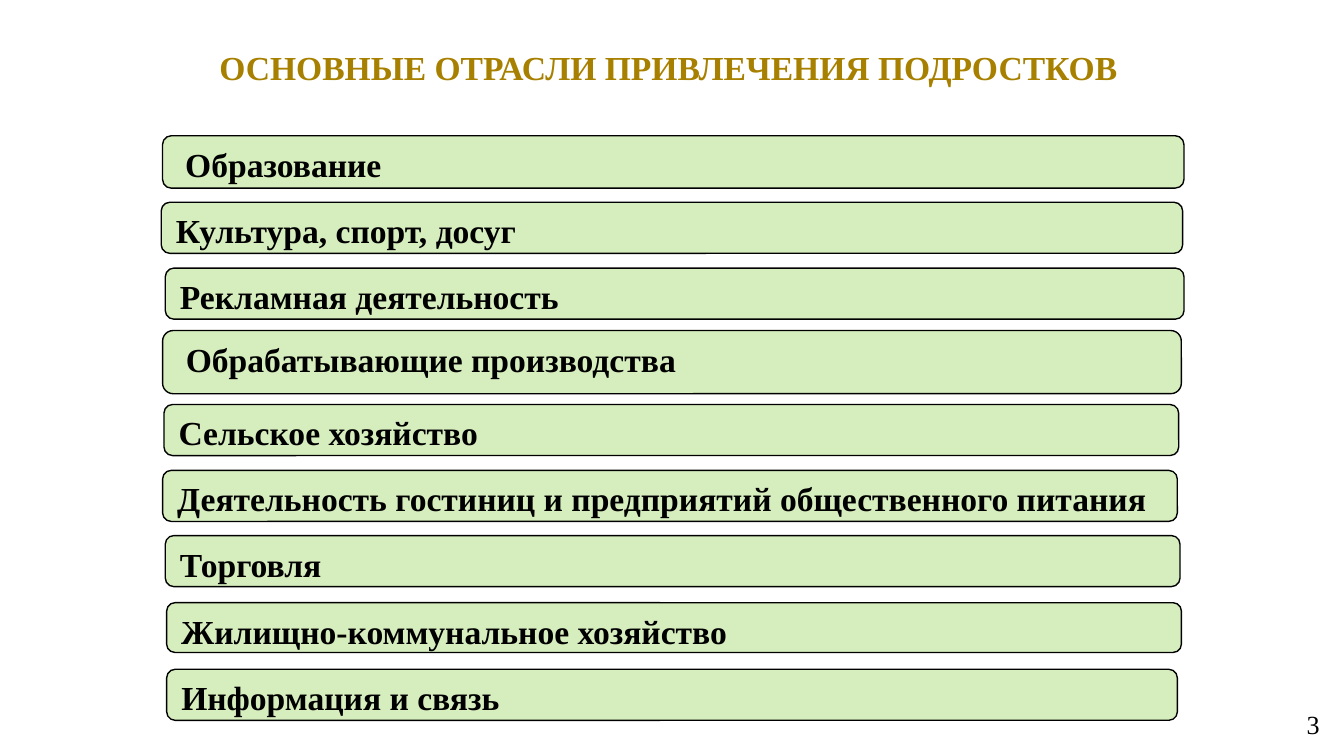
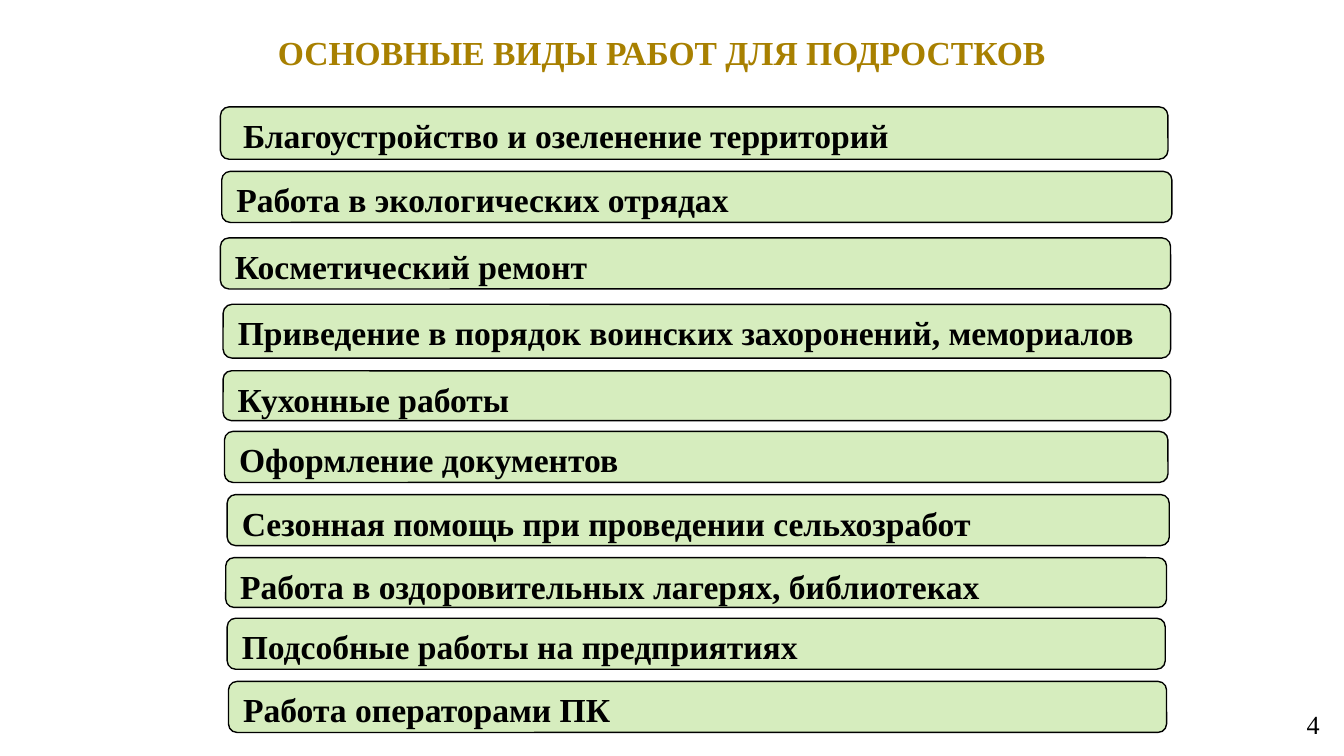
from dataclasses import dataclass

from lxml import etree
from pptx import Presentation
from pptx import util as u
from pptx.dml.color import RGBColor
from pptx.enum import shapes, text
from pptx.oxml import ns


@dataclass(frozen=True)
class Theme:
    face: str = "Times New Roman"
    gold: str = "A88000"
    black: str = "000000"
    green: str = "92D050"
    alpha: int = 37
    head: int = 18
    body: int = 18
    foot: int = 14
    edge: float = 0.75
    curve: float = 0.167


@dataclass(frozen=True)
class Box:
    col: float
    row: float
    cols: float
    rows: float


@dataclass(frozen=True)
class Bar:
    label: str
    box: Box
    inset: float = 0.9


@dataclass(frozen=True)
class Page:
    number: int
    title: str
    head: Box
    bars: tuple[Bar, ...]


THEME = Theme()
WIDTH = u.Inches(10)
HEIGHT = WIDTH * 9 // 16
CELL = WIDTH / 100
FOOT = Box(96.4, 52.3, 2.5, 3.1)
DEEP = 1.5

PAGES = (
    Page(3, "ОСНОВНЫЕ ОТРАСЛИ ПРИВЛЕЧЕНИЯ ПОДРОСТКОВ", Box(6.4, 0.3, 86.7, 9.4), (
        Bar("Образование", Box(12.1, 10.1, 76, 3.9), DEEP),
        Bar("Культура, спорт, досуг", Box(12, 15.05, 76, 3.8)),
        Bar("Рекламная деятельность", Box(12.3, 19.95, 75.8, 3.8)),
        Bar("Обрабатывающие производства", Box(12.1, 24.6, 75.8, 4.7), DEEP),
        Bar("Сельское хозяйство", Box(12.2, 30.1, 75.5, 3.8)),
        Bar("Деятельность гостиниц и предприятий общественного питания",
            Box(12.1, 35, 75.5, 3.8)),
        Bar("Торговля", Box(12.3, 39.85, 75.5, 3.8)),
        Bar("Жилищно-коммунальное хозяйство", Box(12.4, 44.85, 75.5, 3.7)),
        Bar("Информация и связь", Box(12.4, 49.8, 75.2, 3.8)),
    )),
    Page(4, "ОСНОВНЫЕ ВИДЫ РАБОТ ДЛЯ ПОДРОСТКОВ", Box(5.9, -0.8, 86.7, 9.4), (
        Bar("Благоустройство и озеленение территорий", Box(16.4, 7.95, 70.5, 3.9), DEEP),
        Bar("Работа в экологических отрядах", Box(16.5, 12.75, 70.7, 3.8)),
        Bar("Косметический ремонт", Box(16.4, 17.7, 70.7, 3.8)),
        Bar("Приведение в порядок воинских захоронений, мемориалов",
            Box(16.6, 22.65, 70.5, 4)),
        Bar("Кухонные работы", Box(16.6, 27.6, 70.5, 3.7)),
        Bar("Оформление документов", Box(16.7, 32.1, 70.2, 3.8)),
        Bar("Сезонная помощь при проведении сельхозработ", Box(16.9, 36.8, 70.1, 3.8)),
        Bar("Работа в оздоровительных лагерях, библиотеках", Box(16.8, 41.5, 70, 3.7)),
        Bar("Подсобные работы на предприятиях", Box(16.9, 46, 69.8, 3.8)),
        Bar("Работа операторами ПК", Box(17, 50.7, 69.8, 3.8)),
    )),
)


def span(cells: float) -> int:
    return round(cells * CELL)


def place(box: Box) -> tuple[int, int, int, int]:
    return span(box.col), span(box.row), span(box.cols), span(box.rows)


def write(shape, words: str, size: int, color: str, align, anchor,
          inset: float = 0.7, side: float = 0.7, bold: bool = True,
          wrap: bool = True) -> None:
    frame = shape.text_frame
    frame.word_wrap = wrap
    frame.vertical_anchor = anchor
    frame.margin_left, frame.margin_right = span(inset), span(side)
    frame.margin_top = frame.margin_bottom = span(0.4)
    para = frame.paragraphs[0]
    para.text = words
    para.alignment = align
    font = para.font
    font.name, font.size, font.bold = THEME.face, u.Pt(size), bold
    font.color.rgb = RGBColor.from_string(color)


def draw_bar(slide, bar: Bar) -> None:
    shape = slide.shapes.add_shape(shapes.MSO_SHAPE.ROUNDED_RECTANGLE, *place(bar.box))
    shape.adjustments[0] = THEME.curve
    shape.shadow.inherit = False
    shape.fill.solid()
    shape.fill.fore_color.rgb = RGBColor.from_string(THEME.green)
    tint = shape.fill._xPr.find(".//" + ns.qn("a:srgbClr"))
    etree.SubElement(tint, ns.qn("a:alpha"), val=str(THEME.alpha * 1000))
    shape.line.color.rgb = RGBColor.from_string(THEME.black)
    shape.line.width = u.Pt(THEME.edge)
    write(shape, bar.label, THEME.body, THEME.black, text.PP_ALIGN.LEFT,
          text.MSO_ANCHOR.TOP, bar.inset, 0.9)


def draw_page(deck, page: Page) -> None:
    slide = deck.slides.add_slide(deck.slide_layouts[6])
    foot = slide.shapes.add_textbox(*place(FOOT))
    write(foot, str(page.number), THEME.foot, THEME.black, text.PP_ALIGN.RIGHT,
          text.MSO_ANCHOR.TOP, bold=False, wrap=False)
    foot.text_frame.auto_size = text.MSO_AUTO_SIZE.SHAPE_TO_FIT_TEXT
    head = slide.shapes.add_textbox(*place(page.head))
    write(head, page.title, THEME.head, THEME.gold, text.PP_ALIGN.CENTER,
          text.MSO_ANCHOR.MIDDLE)
    for bar in page.bars:
        draw_bar(slide, bar)


def main() -> None:
    deck = Presentation()
    deck.slide_width, deck.slide_height = WIDTH, HEIGHT
    for page in PAGES:
        draw_page(deck, page)
    deck.save("out.pptx")


if __name__ == "__main__":
    main()
